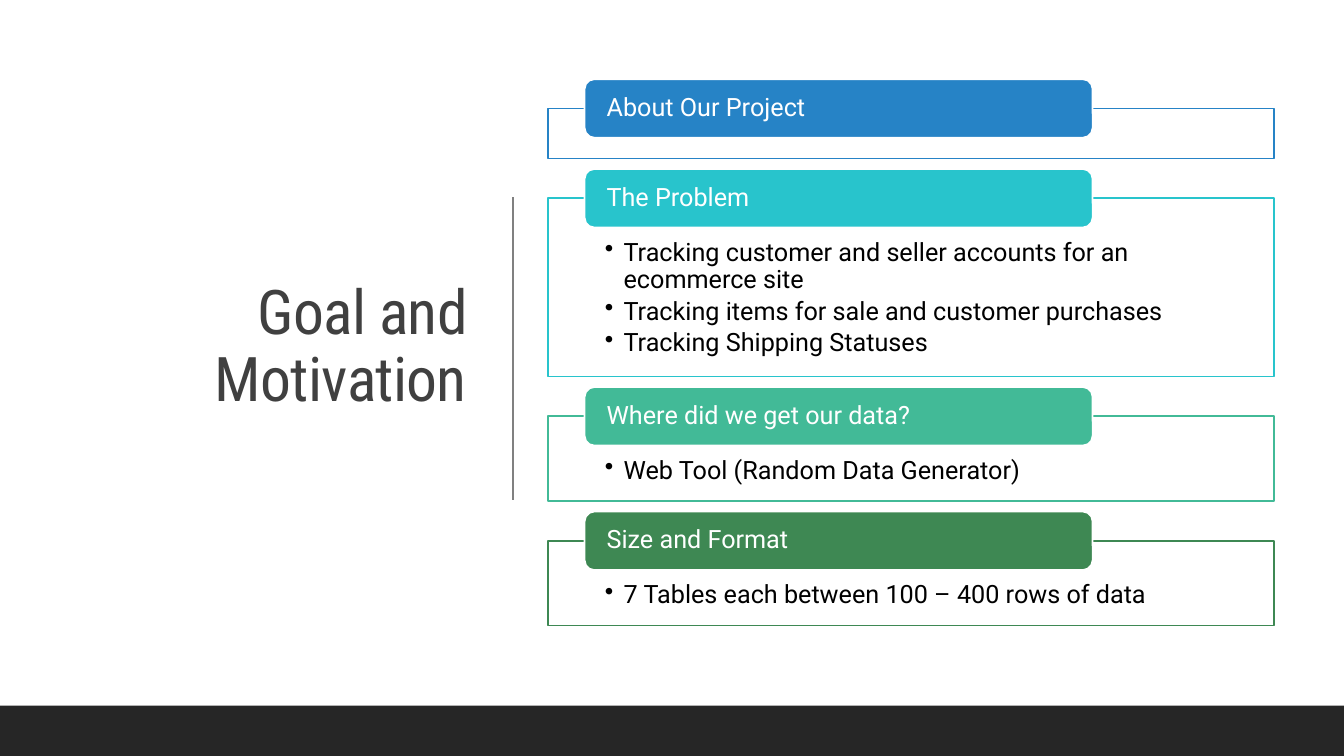
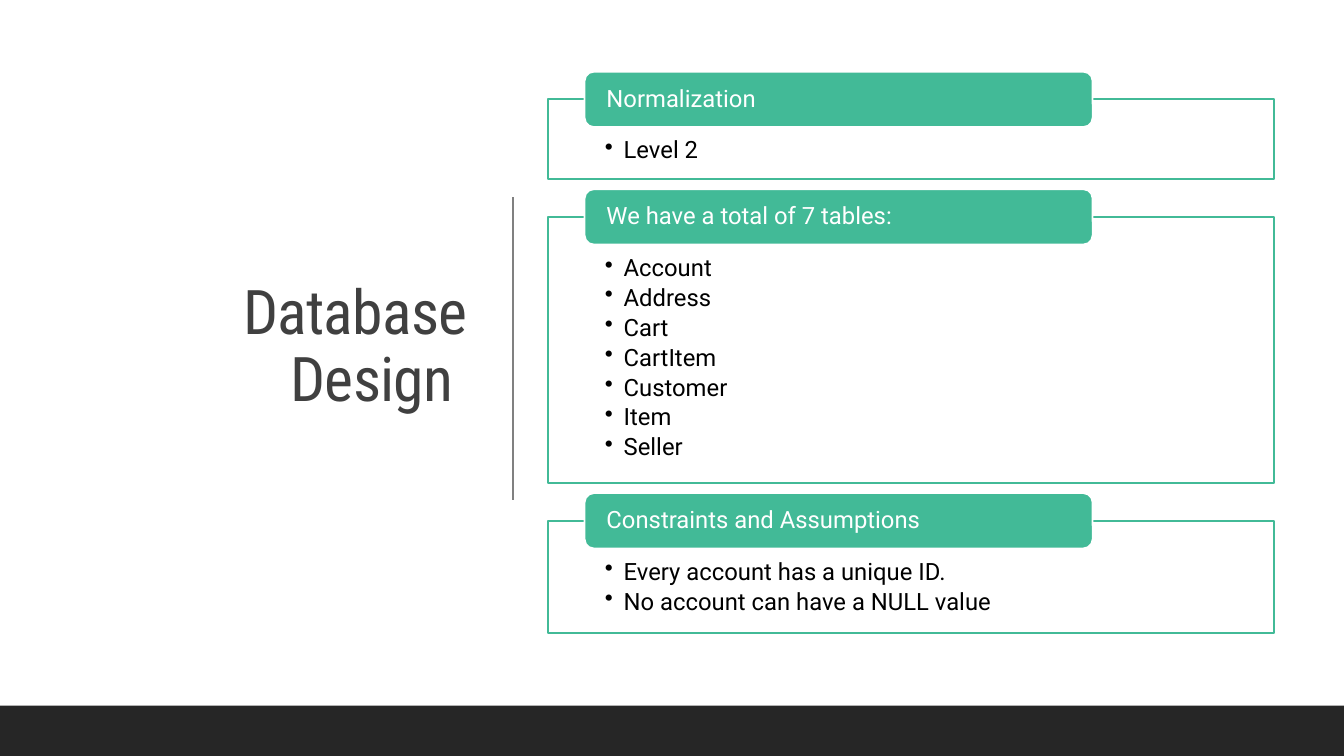
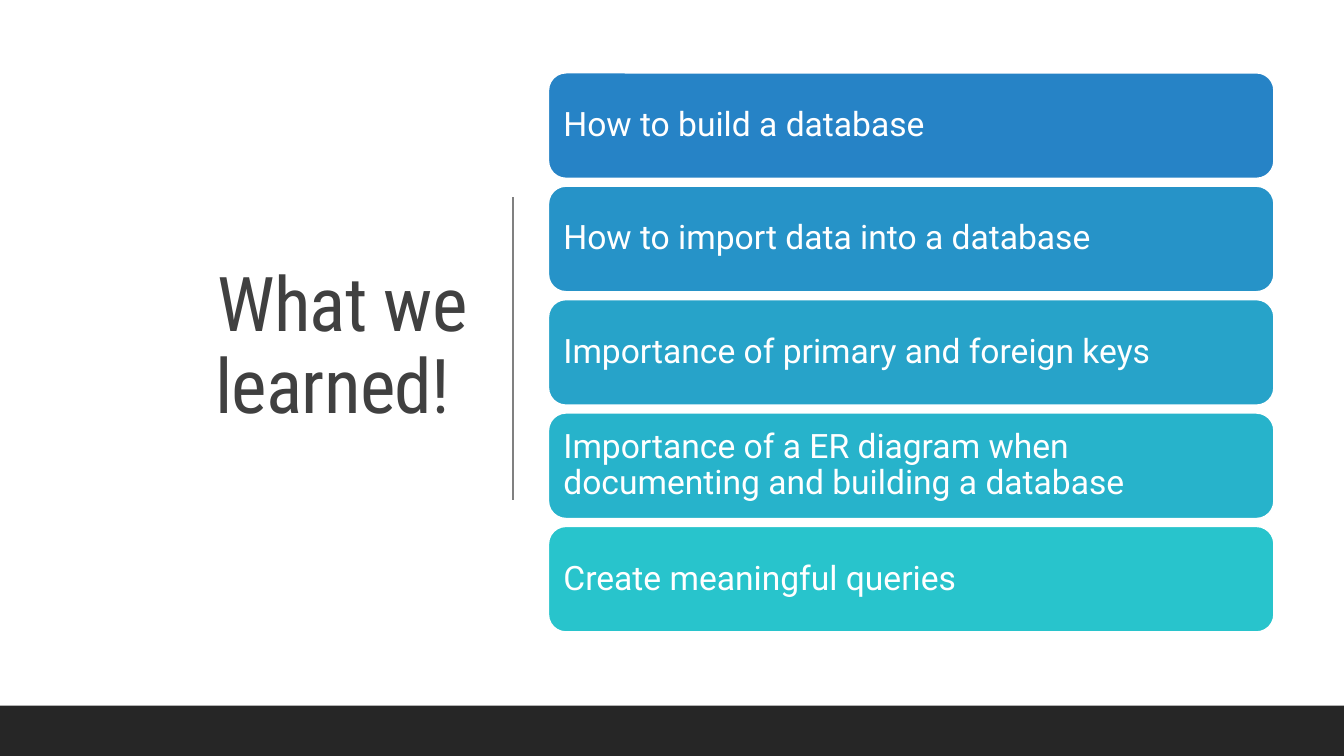
from lxml.etree import SubElement
from pptx import Presentation
from pptx.dml.color import RGBColor
from pptx.enum.shapes import MSO_CONNECTOR, MSO_SHAPE
from pptx.enum.text import MSO_ANCHOR as Anchor, PP_ALIGN as Align
from pptx.oxml.ns import qn
from pptx.util import Pt

COLORS = {
    "white": "FFFFFF", "black": "000000", "title": "404040", "rule": "808080",
    "footer": "262626", "blue": "2683C6", "cyan": "28C4CC", "mint": "42BA97",
    "green": "3E8853", "blue 2": "2693C8", "blue 3": "27A3C9", "blue 4": "27B3CB",
}
PANEL_LEFT, PANEL_WIDTH = 391.7, 518.4
TAB_LEFT, TAB_WIDTH = 417.6, 362.9

# Each panel: heading, colour, height, bullets
SECTION_SLIDES = [
    {"title": "Goal and Motivation", "size": 18, "top": 77.5, "panels": [
        ("About Our Project", "blue", 35.7, []),
        ("The Problem", "cyan", 127.3, [
            "Tracking customer and seller accounts for an ecommerce site",
            "Tracking items for sale and customer purchases",
            "Tracking Shipping Statuses"]),
        ("Where did we get our data?", "mint", 60.5,
         ["Web Tool (Random Data Generator)"]),
        ("Size and Format", "green", 60.5,
         ["7 Tables each between 100 – 400 rows of data"]),
    ]},
    {"title": "Database Design ", "size": 17, "top": 71, "panels": [
        ("Normalization", "mint", 57.1, ["Level 2"]),
        ("We have a total of 7 tables:", "mint", 190.2,
         ["Account", "Address", "Cart", "CartItem", "Customer", "Item", "Seller"]),
        ("Constraints and Assumptions", "mint", 80,
         ["Every account has a unique ID.", "No account can have a NULL value"]),
    ]},
]
LESSONS = [
    ("How to build a database", "blue"),
    ("How to import data into a database", "blue 2"),
    ("Importance of primary and foreign keys", "blue 3"),
    ("Importance of a ER diagram when documenting and building a database", "blue 4"),
    ("Create meaningful queries", "cyan"),
]


def add_box(slide, preset, left, top, width, height, fill, line=None):
    shape = slide.shapes.add_shape(preset, Pt(left), Pt(top), Pt(width), Pt(height))
    shape.shadow.inherit = False
    shape.fill.solid()
    shape.fill.fore_color.rgb = RGBColor.from_string(COLORS[fill])
    if line:
        shape.line.color.rgb = RGBColor.from_string(COLORS[line])
        shape.line.width = Pt(1.25)
    else:
        shape.line.fill.background()
    return shape


def write(shape, lines, size, color, insets, anchor=Anchor.MIDDLE, align=Align.LEFT,
          font="Roboto", bullets=False):
    """Fill a shape with paragraphs; insets are left, top, right, bottom."""
    frame = shape.text_frame
    frame.word_wrap = True
    frame.vertical_anchor = anchor
    (frame.margin_left, frame.margin_top,
     frame.margin_right, frame.margin_bottom) = map(Pt, insets)
    for index, line in enumerate(lines):
        paragraph = frame.add_paragraph() if index else frame.paragraphs[0]
        paragraph.text = line
        paragraph.alignment = align
        paragraph.line_spacing = 0.9
        if bullets:
            paragraph.space_after = Pt(0.176 * size)
            properties = paragraph._p.get_or_add_pPr()
            properties.set("marL", str(Pt(13.5)))
            properties.set("indent", str(-Pt(13.5)))
            bullet_color = SubElement(properties, qn("a:buClr"))
            SubElement(bullet_color, qn("a:srgbClr"), val=COLORS[color])
            SubElement(properties, qn("a:buChar"), char="•")
        paragraph.font.name = font
        paragraph.font.size = Pt(size)
        paragraph.font.color.rgb = RGBColor.from_string(COLORS[color])


presentation = Presentation()
presentation.slide_width, presentation.slide_height = Pt(960), Pt(540)

# Shared title, rule and footer band
titles = [(content["title"], 44) for content in SECTION_SLIDES]
titles.append(("What we learned! ", 54))
for title, title_size in titles:
    slide = presentation.slides.add_slide(presentation.slide_layouts[6])
    title_box = slide.shapes.add_textbox(Pt(50.4), Pt(49.7), Pt(290.2), Pt(398.2))
    write(title_box, [title], title_size, "title", (7.2, 3.6, 7.2, 3.6),
          align=Align.RIGHT, font="Roboto Condensed")
    title_run = title_box.text_frame.paragraphs[0].runs[0]
    title_run._r.get_or_add_rPr().set("spc", "-50")
    rule = slide.shapes.add_connector(
        MSO_CONNECTOR.STRAIGHT, Pt(366.5), Pt(141), Pt(366.5), Pt(357))
    rule.line.color.rgb = RGBColor.from_string(COLORS["rule"])
    rule.line.width = Pt(1)
    SubElement(rule._element.spPr, qn("a:effectLst"))
    add_box(slide, MSO_SHAPE.RECTANGLE, 0, 504, 960, 36, "footer")

# Outlined panels, each with a heading tab centred on its top edge
for slide, content in zip(presentation.slides, SECTION_SLIDES):
    size, top = content["size"], content["top"]
    tab_height = 2.325 * size
    for heading, color, height, bullets in content["panels"]:
        panel = add_box(slide, MSO_SHAPE.RECTANGLE, PANEL_LEFT, top,
                        PANEL_WIDTH, height, "white", color)
        write(panel, bullets, size, "black", (40.3, 1.64 * size, 40.3, 10),
              anchor=Anchor.TOP, bullets=True)
        tab = add_box(slide, MSO_SHAPE.ROUNDED_RECTANGLE, TAB_LEFT,
                      top - tab_height / 2, TAB_WIDTH, tab_height, color, "white")
        write(tab, [heading], size, "white", (13.7, 0, 13.7, 0))
        top += height + 1.58 * size

# Stack of lessons
lessons_slide = presentation.slides[2]
for row, (lesson, color) in enumerate(LESSONS):
    card = add_box(lessons_slide, MSO_SHAPE.ROUNDED_RECTANGLE, PANEL_LEFT,
                   51.9 + 81 * row, PANEL_WIDTH, 75.6, color, "white")
    write(card, [lesson], 24, "white", (7.2, 7.2, 7.2, 7.2))

presentation.save("out.pptx")
